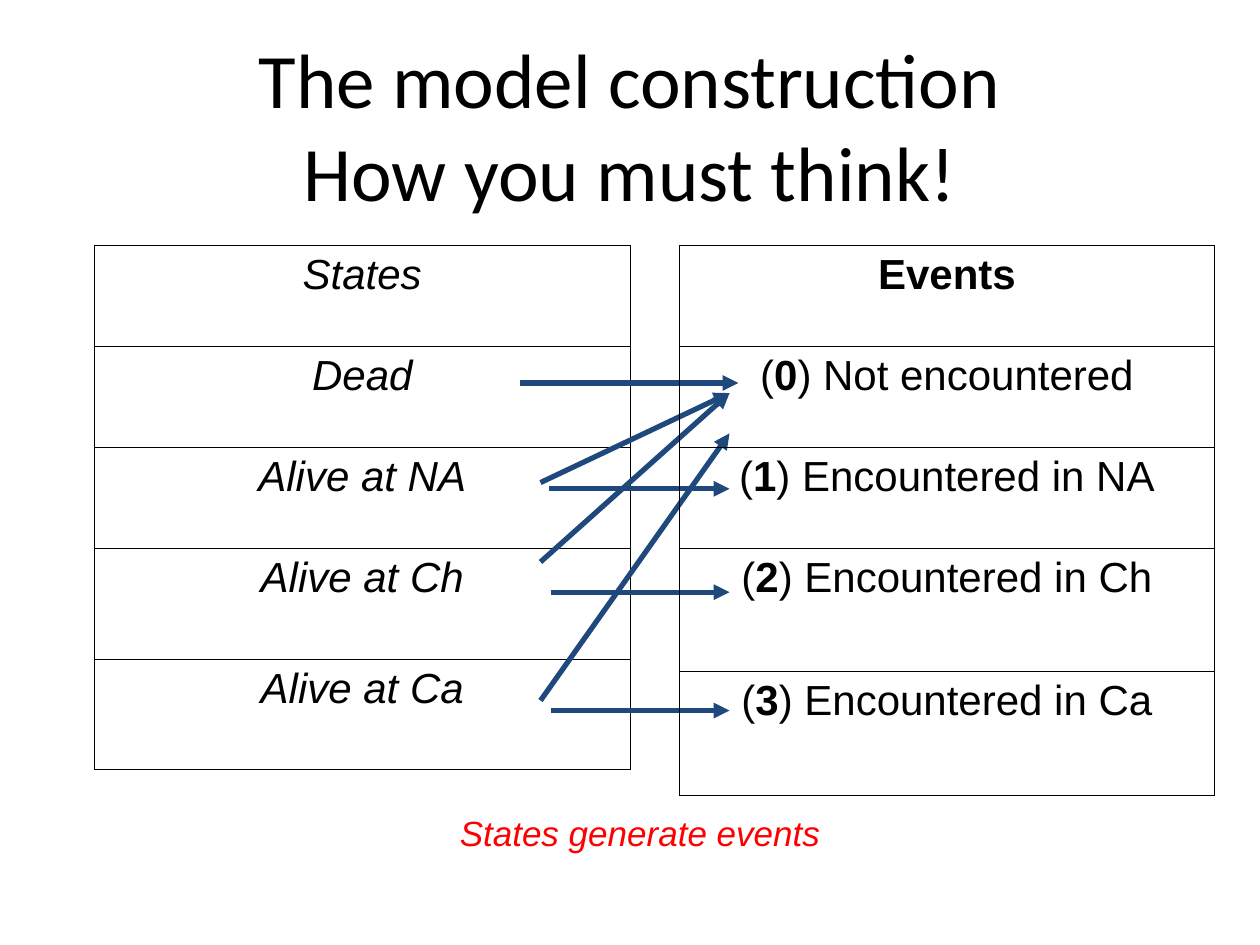
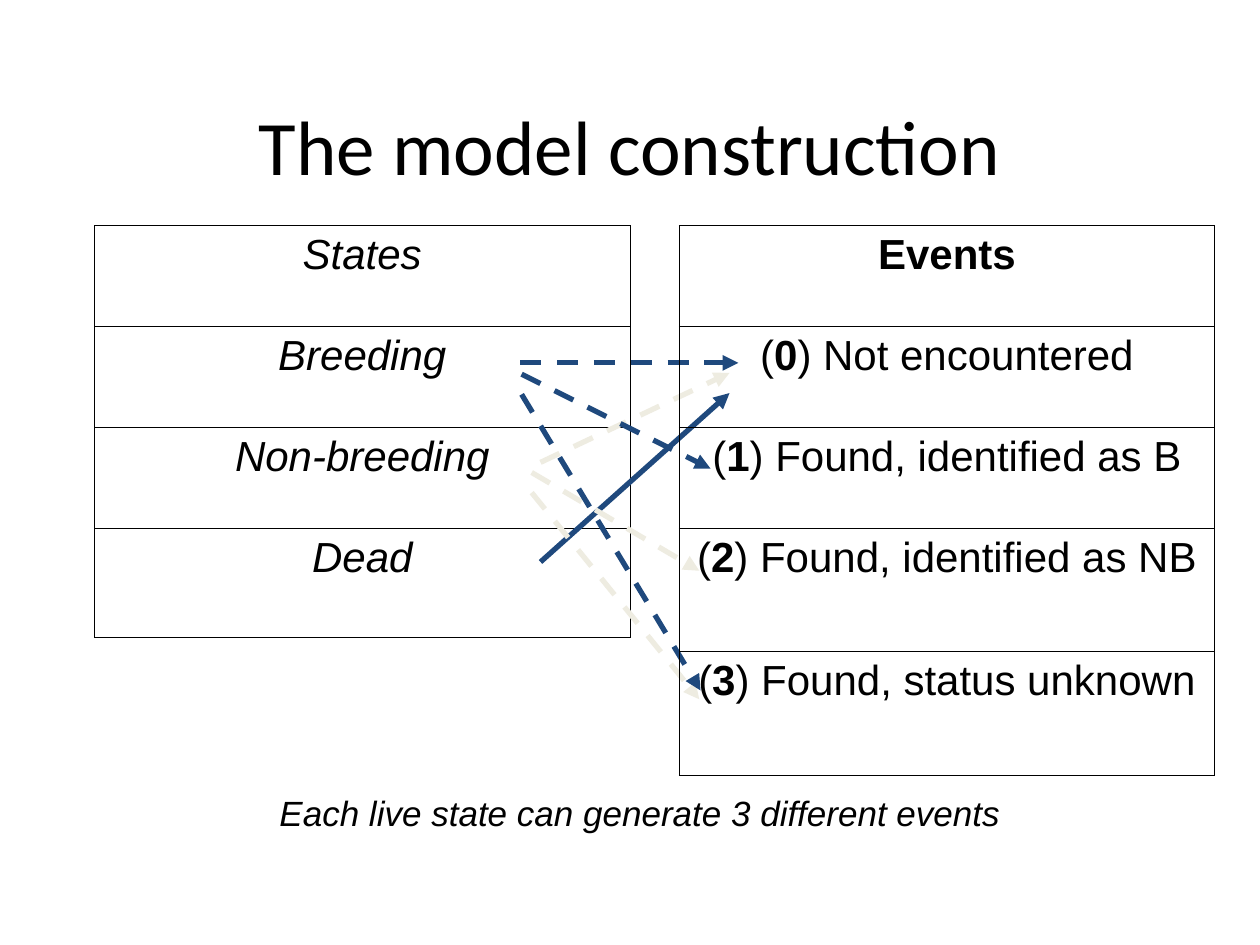
from dataclasses import dataclass

from lxml import etree
from pptx import Presentation
from pptx import util as u
from pptx.dml.color import RGBColor
from pptx.enum import dml, shapes, text
from pptx.oxml import ns


@dataclass(frozen=True)
class Theme:
    ink: str = "000000"
    accent: str = "FF0000"
    navy: str = "1F497D"
    cream: str = "EEECE1"
    title_font: str = "Calibri"
    body_font: str = "Arial"
    title_size: int = 44
    cell_size: int = 24
    caption_size: int = 20
    arrow_width: float = 3
    border_width: float = 0.45


def assign(target, **values):
    for name, value in values.items():
        setattr(target, name, value)


def add_child(parent, tag, **attributes):
    return etree.SubElement(parent, ns.qn(tag), attributes)


class Deck:
    def __init__(self, theme):
        self.theme = theme
        self.file = Presentation()
        assign(self.file, slide_width=u.Inches(10), slide_height=u.Inches(7.5))
        self.slide = None

    def new_slide(self):
        self.slide = self.file.slides.add_slide(self.file.slide_layouts[6])

    def style_run(self, run, size, font, color, **emphasis):
        assign(run.font, size=u.Pt(size), name=font, **emphasis)
        run.font.color.rgb = RGBColor.from_string(color)

    def add_words(self, paragraph, pieces, size, font, color, space=0):
        assign(paragraph, alignment=text.PP_ALIGN.CENTER, space_before=u.Pt(space))
        for words, emphasis in pieces:
            run = paragraph.add_run()
            run.text = words
            self.style_run(run, size, font, color, **emphasis)

    def text_frame(self, left, top, width, height, anchor):
        box = self.slide.shapes.add_textbox(*map(u.Inches, (left, top, width, height)))
        assign(box.text_frame, word_wrap=True, vertical_anchor=anchor)
        return box.text_frame

    def title(self, top, lines):
        frame = self.text_frame(0.75, top, 8.5, 1.25, text.MSO_ANCHOR.MIDDLE)
        heading = frame.paragraphs[0]
        for number, line in enumerate(lines):
            if number:
                heading.add_line_break()
            self.add_words(heading, [(line, {})], self.theme.title_size,
                           self.theme.title_font, self.theme.ink)

    def caption(self, top, words, color):
        frame = self.text_frame(0.59, top, 8.98, 0.44, text.MSO_ANCHOR.TOP)
        self.add_words(frame.paragraphs[0], [(words, {"italic": True})],
                       self.theme.caption_size, self.theme.body_font, color, 12.5)

    def outline(self, cell):
        properties = cell._tc.get_or_add_tcPr()
        for side in ("a:lnL", "a:lnR", "a:lnT", "a:lnB"):
            edge = add_child(properties, side, w=str(u.Pt(self.theme.border_width)))
            add_child(add_child(edge, "a:solidFill"), "a:srgbClr", val=self.theme.ink)
        cell.fill.background()

    def column(self, left, top, heights, entries):
        frame = self.slide.shapes.add_table(
            len(entries), 1, *map(u.Inches, (left, top, 4.25, sum(heights))))
        table = frame.table
        assign(table, first_row=False, horz_banding=False)
        for row, height, pieces in zip(table.rows, heights, entries):
            row.height = u.Inches(height)
            cell = row.cells[0]
            self.outline(cell)
            self.add_words(cell.text_frame.paragraphs[0], pieces, self.theme.cell_size,
                           self.theme.body_font, self.theme.ink, 6)

    def arrow(self, start, end, color, dashed=False):
        link = self.slide.shapes.add_connector(
            shapes.MSO_CONNECTOR.STRAIGHT, *map(u.Inches, (*start, *end)))
        link.line.width = u.Pt(self.theme.arrow_width)
        link.line.color.rgb = RGBColor.from_string(color)
        if dashed:
            link.line.dash_style = dml.MSO_LINE.DASH
        add_child(link.line._get_or_add_ln(), "a:tailEnd", type="triangle")
        add_child(link._element.spPr, "a:effectLst")

    def model(self, title_top, title_lines, top, states, state_heights, events,
              arrows, caption, caption_color):
        self.new_slide()
        self.title(title_top, title_lines)
        self.column(0.75, top, state_heights,
                    [[(state, {"italic": True})] for state in ["States", *states]])
        self.caption(top + 4.44, caption, caption_color)
        for arrow in arrows:
            self.arrow(*arrow)
        plain, bold = {"bold": False}, {"bold": True}
        coded = [[("(", plain), (str(code), bold), (f") {event}", plain)]
                 for code, event in enumerate(events)]
        self.column(5.39, top, [0.8, 0.8, 0.8, 0.98, 0.98],
                    [[("Events", bold)], *coded])


def main():
    theme = Theme()
    deck = Deck(theme)
    navy, cream = theme.navy, theme.cream

    missed = [((4.13, 3.04), (5.86, 3.04)), ((4.29, 3.83), (5.79, 3.12)),
              ((4.29, 4.46), (5.79, 3.12)), ((4.29, 5.56), (5.79, 3.44))]
    seen = [((left, y), (5.79, y)) for left, y in
            ((4.36, 3.88), (4.37, 4.7), (4.37, 5.64))]
    sites = ["NA", "Ch", "Ca"]
    deck.model(
        0.36, ["The model construction", "How you must think!"], 1.95,
        ["Dead", *(f"Alive at {site}" for site in sites)],
        [0.8, 0.8, 0.8, 0.88, 0.88],
        ["Not encountered", *(f"Encountered in {site}" for site in sites)],
        [(start, end, navy) for start, end in missed + seen],
        "States generate events", theme.accent)

    deck.model(
        0.52, ["The model construction"], 1.79,
        ["Breeding", "Non-breeding", "Dead"], [0.8, 0.8, 0.8, 0.87],
        ["Not encountered", "Found, identified as B",
         "Found, identified as NB", "Found, status unknown"],
        [((4.13, 2.88), (5.86, 2.88), navy, True),
         ((4.29, 3.67), (5.79, 2.96), cream, True),
         ((4.29, 4.46), (5.79, 3.12), navy),
         ((4.22, 3.91), (5.55, 5.55), cream, True),
         ((4.14, 2.97), (5.64, 3.72), navy, True),
         ((4.22, 3.75), (5.55, 4.53), cream, True),
         ((4.14, 3.13), (5.56, 5.48), navy, True)],
        "Each live state can generate 3 different events", theme.ink)

    deck.file.save("out.pptx")


if __name__ == "__main__":
    main()
